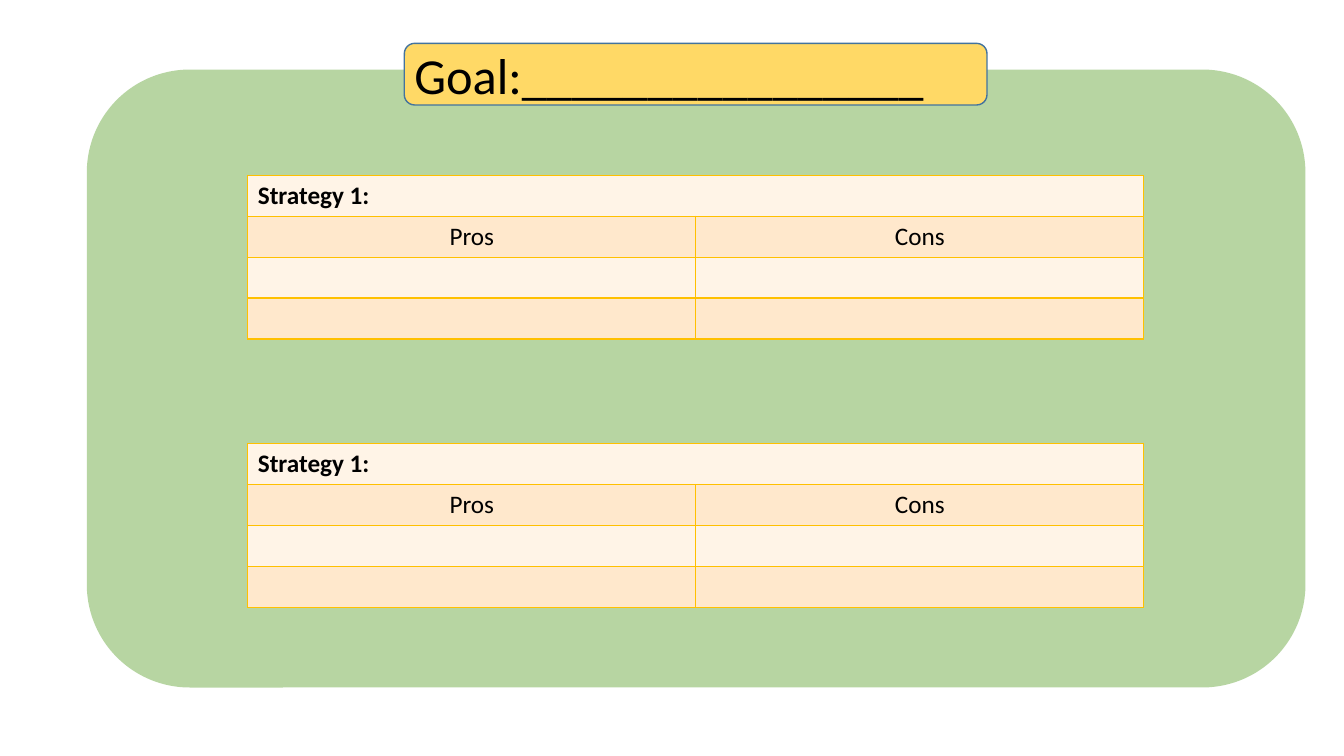
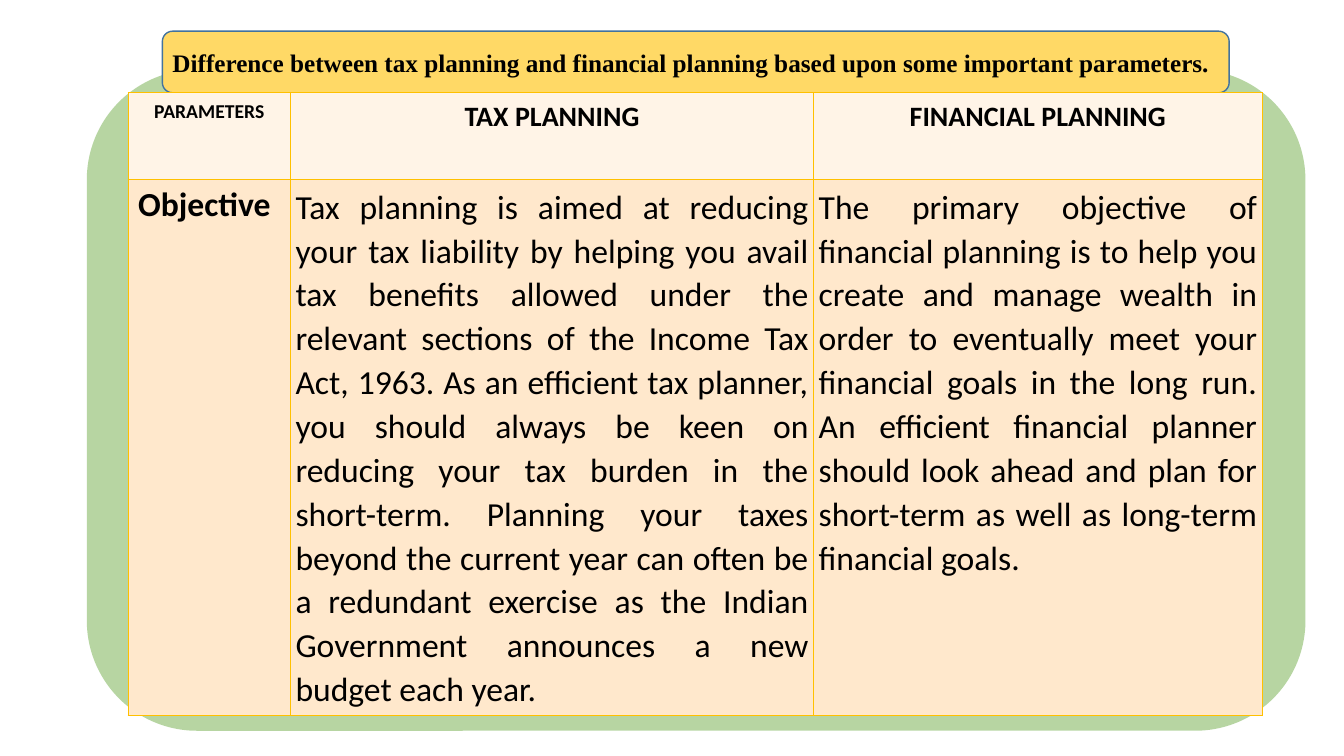
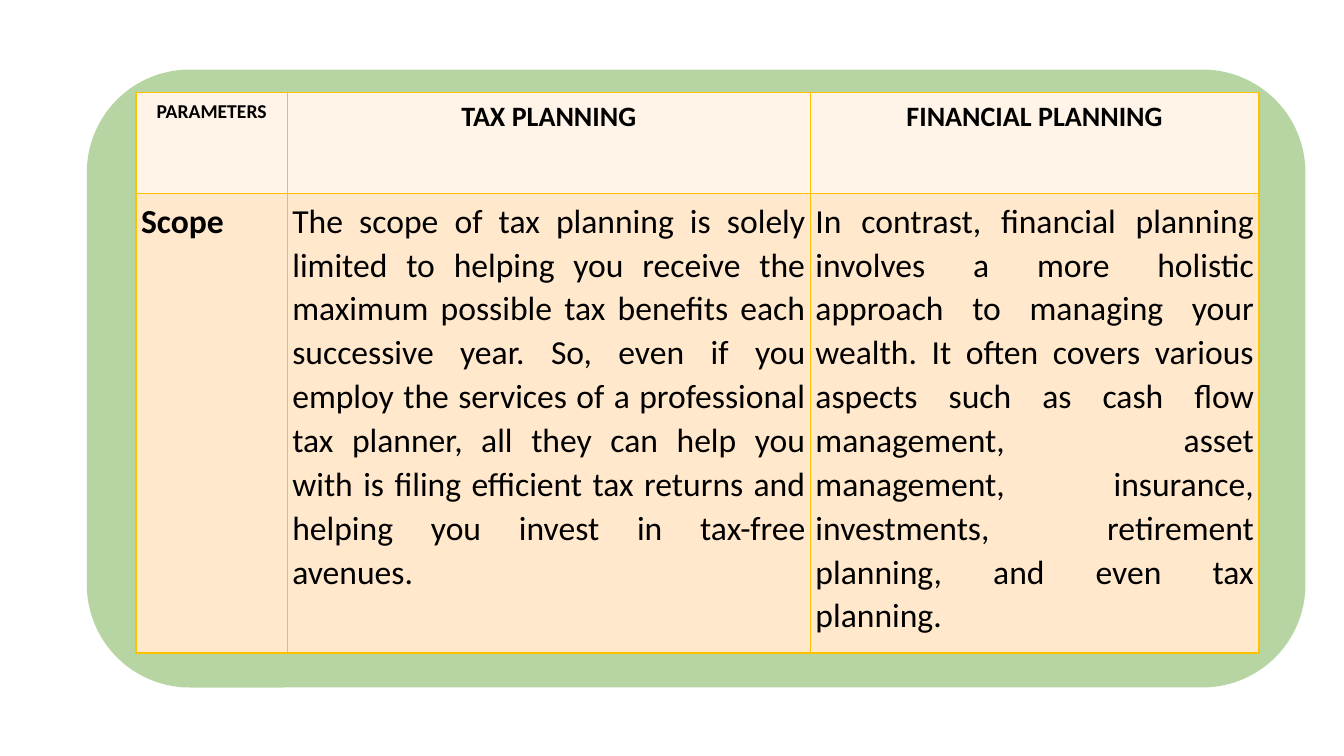
import pptx
import pptx.util
import pptx.dml.color
import pptx.enum.shapes
import pptx.enum.text
import pptx.oxml
import pptx.oxml.ns

Pt = pptx.util.Pt
SHAPE = pptx.enum.shapes.MSO_SHAPE
ALIGN = pptx.enum.text.PP_ALIGN
MIDDLE = pptx.enum.text.MSO_ANCHOR.MIDDLE

COLORS = {
    "panel": "70AD47",
    "banner": "FFD966",
    "banner_line": "43739E",
    "grid": "FFC000",
    "light": "FFF4E7",
    "dark": "FFE8CC",
    "text": "000000",
}
BODY_FONT = "Calibri"
TITLE_ONLY, BLANK = 5, 6

GOAL = "Goal:________________"
DIFFERENCE = ("Difference between tax planning and financial planning "
              "based upon some important parameters.")
OBJECTIVE = (
    "Objective",
    "Tax planning is aimed at reducing your tax liability by helping you avail "
    "tax benefits allowed under the relevant sections of the Income Tax Act, "
    "1963. As an efficient tax planner, you should always be keen on reducing "
    "your tax burden in the short-term. Planning your taxes beyond the current "
    "year can often be a redundant exercise as the Indian Government announces "
    "a new budget each year.",
    "The primary objective of financial planning is to help you create and "
    "manage wealth in order to eventually meet your financial goals in the "
    "long run. An efficient financial planner should look ahead and plan for "
    "short-term as well as long-term financial goals.",
)
SCOPE = (
    "Scope",
    "The scope of tax planning is solely limited to helping you receive the "
    "maximum possible tax benefits each successive year. So, even if you "
    "employ the services of a professional tax planner, all they can help you "
    "with is filing efficient tax returns and helping you invest in tax-free "
    "avenues.",
    "In contrast, financial planning involves a more holistic approach to "
    "managing your wealth. It often covers various aspects such as cash flow "
    "management, asset management, insurance, investments, retirement "
    "planning, and even tax planning.",
)


def rgb(name):
    return pptx.dml.color.RGBColor.from_string(COLORS[name])


def style(p, size, bold=False, align=ALIGN.LEFT, font=BODY_FONT):
    p.alignment = align
    p.font.size = Pt(size)
    p.font.bold = bold
    p.font.name = font
    p.font.color.rgb = rgb("text")


def add_round_rect(s, box, color):
    sp = s.shapes.add_shape(SHAPE.ROUNDED_RECTANGLE, *map(Pt, box))
    sp.shadow.inherit = False
    sp.fill.solid()
    sp.fill.fore_color.rgb = rgb(color)
    return sp


# Half-transparent green panel behind the content
def add_panel(s, height):
    sp = add_round_rect(s, (62, 49.7, 870.5, height), "panel")
    sp.line.fill.background()
    color = sp.fill._xPr.find(".//" + pptx.oxml.ns.qn("a:srgbClr"))
    color.append(pptx.oxml.parse_xml(
        f'<a:alpha {pptx.oxml.ns.nsdecls("a")} val="50000"/>'))


# Yellow banner carrying the slide title
def add_banner(s, box, text, size, bold, font):
    sp = add_round_rect(s, box, "banner")
    sp.line.color.rgb = rgb("banner_line")
    sp.line.width = Pt(1)
    title = s.shapes.title
    title.left, title.top, title.width, title.height = map(Pt, box)
    s.shapes._spTree.append(title._element)  # bring the title in front
    tf = title.text_frame
    tf.text = text
    tf.word_wrap = True
    tf.auto_size = pptx.enum.text.MSO_AUTO_SIZE.NONE
    tf.vertical_anchor = MIDDLE
    style(tf.paragraphs[0], size, bold, font=font)


# Table with alternating row fills and a thin yellow grid
def add_grid(s, left, top, cols, rows):
    frame = s.shapes.add_table(len(rows), len(cols), Pt(left), Pt(top),
                               Pt(sum(cols)), Pt(sum(rows)))
    table = frame.table
    table.first_row = table.horz_banding = False
    for column, width in zip(table.columns, cols):
        column.width = Pt(width)
    for i, height in enumerate(rows):
        table.rows[i].height = Pt(height)
        for cell in table.rows[i].cells:
            cell.fill.solid()
            cell.fill.fore_color.rgb = rgb("dark" if i % 2 else "light")
            add_borders(cell)
    return table


def add_borders(cell):
    tcPr = cell._tc.get_or_add_tcPr()
    for i, side in enumerate("LRTB"):
        tcPr.insert(i, pptx.oxml.parse_xml(
            f'<a:ln{side} {pptx.oxml.ns.nsdecls("a")} w="12700"><a:solidFill>'
            f'<a:srgbClr val="{COLORS["grid"]}"/></a:solidFill></a:ln{side}>'))


def fill_cell(cell, text, size, bold=False, align=ALIGN.LEFT, spaced=False):
    cell.text = text
    p = cell.text_frame.paragraphs[0]
    if spaced:
        cell.margin_left = cell.margin_right = Pt(3.6)
        p.line_spacing = 1.07
        p.space_after = Pt(8)
    style(p, size, bold, align)


def add_strategy_table(s, left, top):
    table = add_grid(s, left, top, [320, 320], [29.25] * 4)
    table.cell(0, 0).merge(table.cell(0, 1))
    fill_cell(table.cell(0, 0), "Strategy 1:", 18, True)
    for j, heading in enumerate(("Pros", "Cons")):
        fill_cell(table.cell(1, j), heading, 18, align=ALIGN.CENTER)


def add_comparison_table(s, left, top, label_width, rows, texts, spaced_label):
    table = add_grid(s, left, top, [label_width, 373.7, 320.4], rows)
    headings = (("PARAMETERS", 14), ("TAX PLANNING", 20),
                ("FINANCIAL PLANNING", 20))
    for j, (heading, size) in enumerate(headings):
        fill_cell(table.cell(0, j), heading, size, True, ALIGN.CENTER, True)
    label, *details = texts
    fill_cell(table.cell(1, 0), label, 24, True,
              ALIGN.JUSTIFY if spaced_label else ALIGN.LEFT, spaced_label)
    for j, detail in enumerate(details, 1):
        fill_cell(table.cell(1, j), detail, 24, False, ALIGN.JUSTIFY, True)


def add_slide(prs, layout, panel_height):
    s = prs.slides.add_slide(prs.slide_layouts[layout])
    add_panel(s, panel_height)
    return s


def main():
    prs = pptx.Presentation()
    prs.slide_width, prs.slide_height = Pt(960), Pt(540)

    # Goal and strategies
    s = add_slide(prs, TITLE_ONLY, 441.4)
    add_banner(s, (288.8, 31, 416.2, 44), GOAL, 36, False, BODY_FONT)
    for top in (125.2, 316.8):
        add_strategy_table(s, 177, top)

    # Objective
    s = add_slide(prs, TITLE_ONLY, 472.3)
    add_banner(s, (116, 22.3, 762, 44), DIFFERENCE, 18, True,
               "Times New Roman")
    add_comparison_table(s, 91.5, 66.2, 116, [62, 376], OBJECTIVE, False)

    # Scope
    s = add_slide(prs, BLANK, 441.4)
    add_comparison_table(s, 97.2, 66.2, 108, [72, 328.3], SCOPE, True)

    prs.save("out.pptx")


if __name__ == "__main__":
    main()
